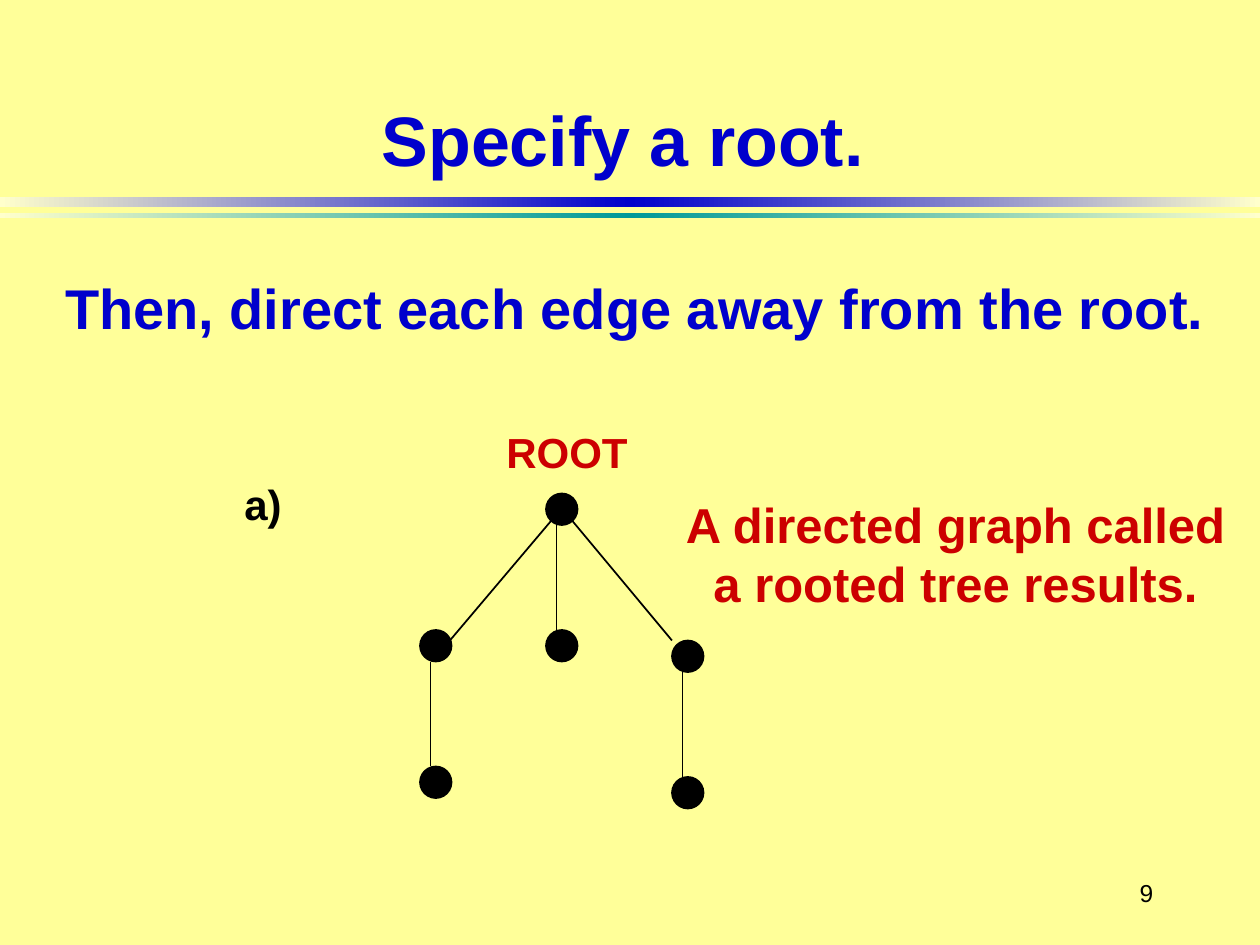
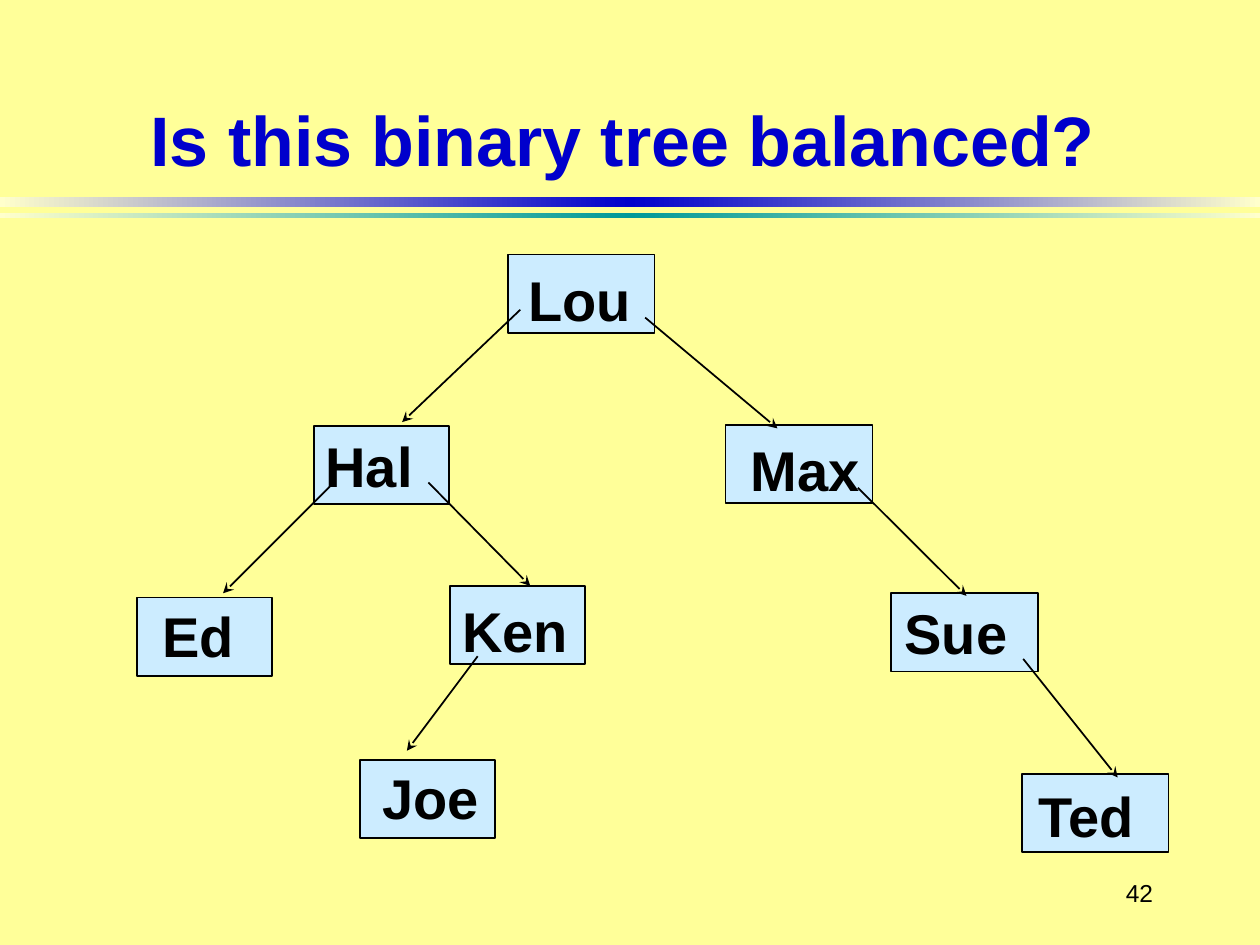
from copy import deepcopy

from pptx import Presentation
from pptx.dml.color import RGBColor
from pptx.enum.shapes import MSO_CONNECTOR, MSO_SHAPE
from pptx.enum.text import MSO_ANCHOR, PP_ALIGN
from pptx.oxml.ns import qn
from pptx.oxml.xmlchemy import OxmlElement
from pptx.util import Inches, Pt

# Shared style
COLORS = {"page": "FFFF99", "blue": "0000CC", "teal": "009999", "fade": "FFFFCC",
          "red": "CC0000", "black": "000000", "box": "CCECFF"}
FONT = "Arial"
COLS, ROWS = 120, 90
LEFT, CENTER, RIGHT = PP_ALIGN.LEFT, PP_ALIGN.CENTER, PP_ALIGN.RIGHT
TOP, MIDDLE, BOTTOM = MSO_ANCHOR.TOP, MSO_ANCHOR.MIDDLE, MSO_ANCHOR.BOTTOM


def rgb(name):
    return RGBColor.from_string(COLORS[name])


def write(tf, text, size=24, color="black", bold=True, align=LEFT, anchor=TOP, wrap=True):
    """Fill a text frame, one paragraph per line of text."""
    tf.word_wrap, tf.vertical_anchor = wrap, anchor
    for i, line in enumerate(text.split("\n")):
        p = tf.paragraphs[0] if i == 0 else tf.add_paragraph()
        p.alignment = align
        r = p.add_run()
        r.text = line
        r.font.name, r.font.size, r.font.bold = FONT, Pt(size), bold
        r.font.color.rgb = rgb(color)


class Deck:
    """Holds the presentation, its grid and the current slide."""

    def __init__(self):
        self.prs = Presentation()
        self.prs.slide_width, self.prs.slide_height = Inches(10), Inches(7.5)
        self.layout = self.prs.slide_layouts[5]
        fill = self.prs.slide_master.background.fill
        fill.solid()
        fill.fore_color.rgb = rgb("page")
        self.s = None

    def x(self, col):
        return round(self.prs.slide_width * col / COLS)

    def y(self, row):
        return round(self.prs.slide_height * row / ROWS)

    def area(self, col, row, cols, rows):
        return self.x(col), self.y(row), self.x(cols), self.y(rows)

    def slide(self, title, number):
        first = self.s is None
        self.s = self.prs.slides.add_slide(self.layout)
        if first:
            self.band(18.75, 1, "blue")
            self.band(20.25, 0.5, "teal")
        sp = self.s.shapes.title
        sp.left, sp.top, sp.width, sp.height = self.area(7.8, 2.75, 103, 15)
        write(sp.text_frame, title, size=40, color="blue", align=CENTER, anchor=BOTTOM)
        self.text(number, 103, 82, 8, 6, size=14, bold=False, align=RIGHT, anchor=MIDDLE)

    def band(self, row, rows, color):
        """Full-width fading band, kept on the shared layout."""
        sp = self.shape(MSO_SHAPE.RECTANGLE, 0, row, COLS, rows, line=None)
        sp.fill.gradient()
        sp.fill.gradient_angle = 0
        stops = sp.element.spPr.find(".//" + qn("a:gsLst"))
        stops.append(deepcopy(stops[0]))
        for i, (stop, name) in enumerate(zip(sp.fill.gradient_stops, ("fade", color, "fade"))):
            stop.position = i / 2
            stop.color.rgb = rgb(name)
        self.layout.shapes.element.append(sp.element)

    def shape(self, kind, col, row, cols, rows, fill="black", line="black"):
        sp = self.s.shapes.add_shape(kind, *self.area(col, row, cols, rows))
        sp.shadow.inherit = False
        sp.fill.solid()
        sp.fill.fore_color.rgb = rgb(fill)
        if line:
            sp.line.color.rgb, sp.line.width = rgb(line), Pt(1)
        else:
            sp.line.fill.background()
        return sp

    def node(self, col, row):
        self.shape(MSO_SHAPE.OVAL, col, row, 3, 3)

    def name_box(self, name, col, row, cols, indent, drop):
        sp = self.shape(MSO_SHAPE.RECTANGLE, col, row, cols, 7.45, fill="box")
        tf = sp.text_frame
        tf.margin_left, tf.margin_top = self.x(indent), self.y(drop)
        tf.margin_right = tf.margin_bottom = 0
        write(tf, name, size=32)

    def line(self, x1, y1, x2, y2, arrow=False):
        cn = self.s.shapes.add_connector(MSO_CONNECTOR.STRAIGHT, self.x(x1), self.y(y1),
                                         self.x(x2), self.y(y2))
        cn.line.color.rgb, cn.line.width = rgb("black"), Pt(1)
        if arrow:
            tail = OxmlElement("a:tailEnd")
            tail.set("type", "stealth")
            cn.line._get_or_add_ln().append(tail)
        cn.element.spPr.append(OxmlElement("a:effectLst"))

    def text(self, text, col, row, cols, rows, **fmt):
        sp = self.s.shapes.add_textbox(*self.area(col, row, cols, rows))
        write(sp.text_frame, text, **fmt)


def rooted_tree(d):
    d.slide("Specify a root.", "9")
    # Vertical edges, each between two nodes
    for col, row in ((40, 60), (52, 47), (64, 61)):
        d.node(col, row)
        d.line(col + 1, row + 3, col + 1, row + 13)
        d.node(col, row + 13)
    # Slanted edges from the root
    d.line(54, 49, 64, 61)
    d.line(53, 49, 42, 62)
    # Labels
    d.text("a)", 22.1, 45, 6, 6)
    d.text("ROOT", 47, 40, 14, 6, color="red", align=CENTER, wrap=False)
    d.text("Then, direct each edge away from the root.", 3, 22, 115, 11,
           size=32, color="blue", align=CENTER, anchor=BOTTOM)
    d.text("A directed graph called\na rooted tree results.", 63.5, 46.5, 55, 12.5,
           size=28, color="red", align=CENTER)


def binary_tree(d):
    d.slide("Is this binary tree balanced?", "42")
    # Names: column, row, width, text indent, text drop
    wide, narrow = 14, 12.85
    for name, *place in (("Lou", 48.35, 24.25, wide, 2, 1),
                         ("Hal", 29.9, 40.55, narrow, 1.1, 0.6),
                         ("Max", 69.1, 40.45, wide, 2.4, 1),
                         ("Sue", 84.85, 56.5, wide, 1.3, 0.5),
                         ("Ted", 97.3, 73.7, wide, 1.6, 0.75),
                         ("Ed", 13.05, 56.9, narrow, 2.4, 0.4),
                         ("Ken", 42.85, 55.8, narrow, 1.2, 1),
                         ("Joe", 34.3, 72.35, narrow, 2.1, 0.4)):
        d.name_box(name, *place)
    # Arrows from parent to child
    for ends in ((61.45, 30.25, 74.05, 40.8), (81.7, 46.45, 92.05, 56.75),
                 (97.45, 62.75, 106.45, 74.05), (40.8, 45.95, 50.5, 55.8),
                 (31.55, 46.2, 21.25, 56.5), (45.5, 62.5, 38.75, 71.5),
                 (49.55, 29.5, 38.3, 40.2)):
        d.line(*ends, arrow=True)


def main():
    d = Deck()
    rooted_tree(d)
    binary_tree(d)
    d.prs.save("out.pptx")


if __name__ == "__main__":
    main()
